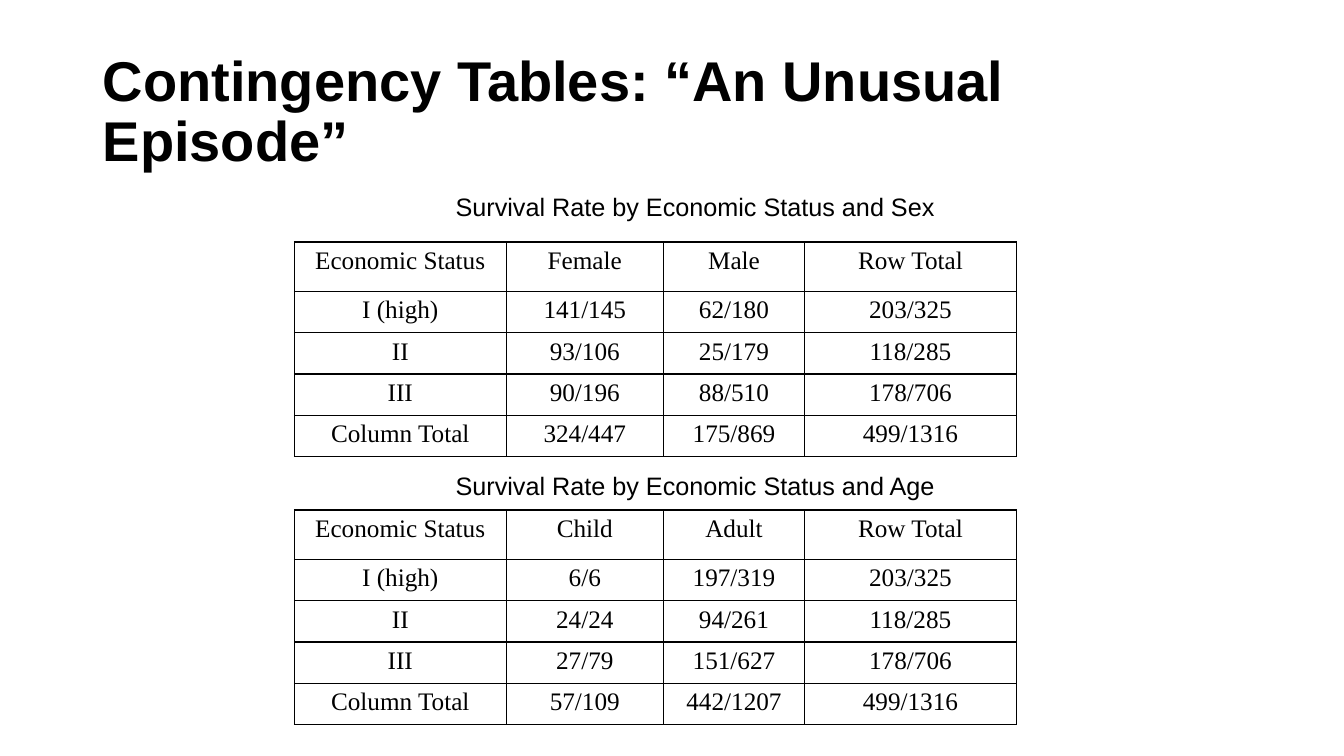
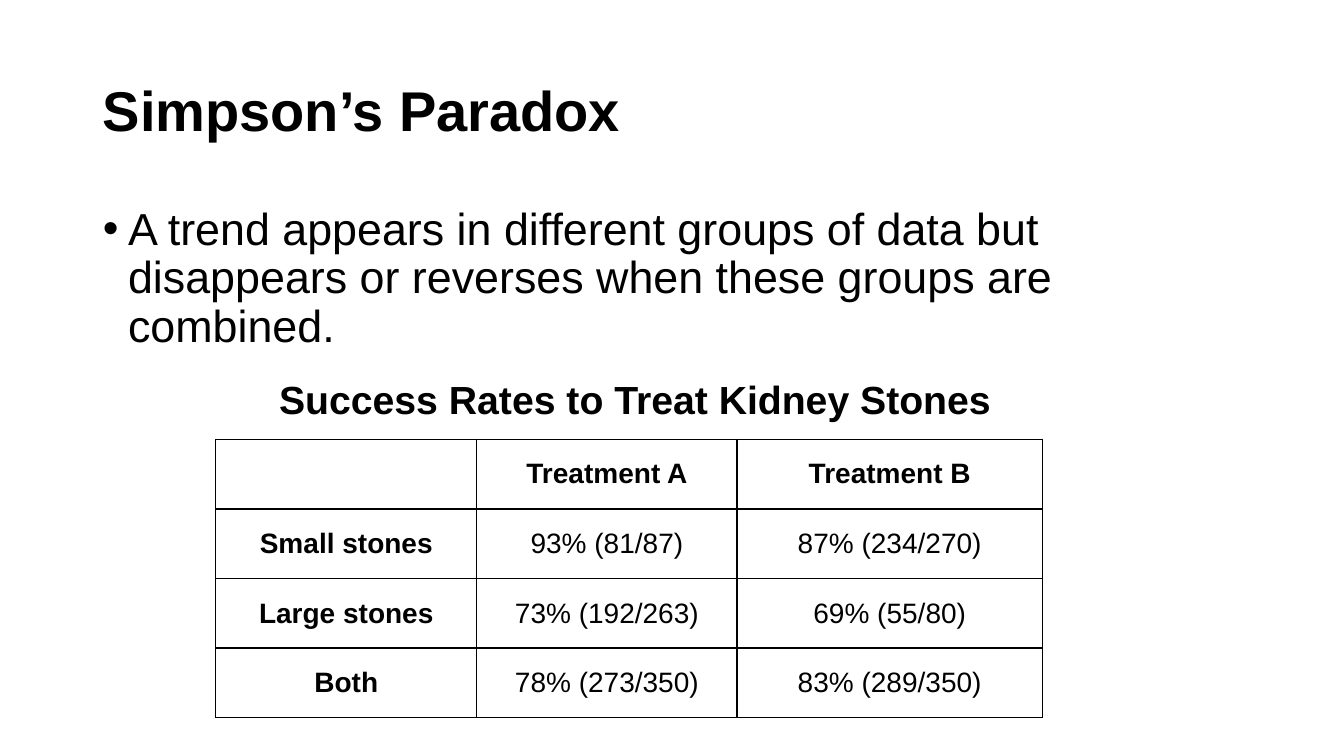
from lxml import etree
from pptx import Presentation
from pptx.dml.color import RGBColor
from pptx.enum.text import MSO_ANCHOR, MSO_AUTO_SIZE, PP_ALIGN
from pptx.oxml.ns import qn
from pptx.util import Inches, Pt

BLACK = RGBColor(0x00, 0x00, 0x00)
SANS, SERIF = "Arial", "Times New Roman"
LEFT, CENTER = PP_ALIGN.LEFT, PP_ALIGN.CENTER
TOP, MIDDLE = MSO_ANCHOR.TOP, MSO_ANCHOR.MIDDLE
NO_FIT = MSO_AUTO_SIZE.NONE
TITLE_AND_BODY, TITLE_ONLY = 1, 5
BORDER_SIDES = ("a:lnL", "a:lnR", "a:lnT", "a:lnB")
MARGIN, CONTENT_WIDTH = 0.92, 11.5


def add_borders(cell, width=Pt(1), color=BLACK):
    """Draw a solid line on all four sides of a table cell."""
    properties = cell._tc.get_or_add_tcPr()
    for position, side in enumerate(BORDER_SIDES):
        line = etree.Element(qn(side), w=str(int(width)))
        fill = etree.SubElement(line, qn("a:solidFill"))
        etree.SubElement(fill, qn("a:srgbClr"), val=str(color))
        properties.insert(position, line)


class Deck:
    """Holds the shared style and the slide being built."""

    def __init__(self):
        """Start a widescreen presentation."""
        self.prs = Presentation()
        self.prs.slide_width = Inches(13.33)
        self.prs.slide_height = Inches(7.5)
        self.slide = None

    def add_text(self, paragraph, text, size, font=SANS, bold=False,
                 align=LEFT):
        """Add one formatted run to a paragraph."""
        paragraph.alignment = align
        run = paragraph.add_run()
        run.text = text
        run.font.name = font
        run.font.size = Pt(size)
        run.font.bold = bold
        run.font.color.rgb = BLACK

    def fill_placeholder(self, placeholder, top, height, anchor, text, size,
                         bold=False):
        """Place a template placeholder and set its text."""
        placeholder.left, placeholder.top = Inches(MARGIN), Inches(top)
        placeholder.width = Inches(CONTENT_WIDTH)
        placeholder.height = Inches(height)
        frame = placeholder.text_frame
        frame.auto_size = NO_FIT
        frame.vertical_anchor = anchor
        paragraph = frame.paragraphs[0]
        paragraph.line_spacing = 0.9
        self.add_text(paragraph, text, size, bold=bold)
        return paragraph

    def add_slide(self, title, layout):
        """Add a slide with the shared title style."""
        self.slide = self.prs.slides.add_slide(self.prs.slide_layouts[layout])
        self.fill_placeholder(self.slide.shapes.title, 0.4, 1.45, MIDDLE,
                              title, 40, bold=True)

    def bullet(self, text):
        """Set a bulleted statement in the body placeholder."""
        paragraph = self.fill_placeholder(self.slide.placeholders[1], 2, 4.76,
                                          TOP, text, 32)
        paragraph.space_before = Pt(10)
        indent = Inches(0.25)
        properties = paragraph._p.get_or_add_pPr()
        properties.set("marL", str(int(indent)))
        properties.set("indent", str(-int(indent)))

    def caption(self, text, left, top, width, height, size, bold=False):
        """Add a table caption."""
        box = self.slide.shapes.add_textbox(
            Inches(left), Inches(top), Inches(width), Inches(height))
        box.text_frame.word_wrap = True
        self.add_text(box.text_frame.paragraphs[0], text, size, bold=bold)

    def table(self, rows, left, top, widths, heights, size, font, anchor,
              bold_headers=False):
        """Add a plain ruled table with centred text."""
        table = self.slide.shapes.add_table(
            len(rows), len(widths), Inches(left), Inches(top),
            Inches(sum(widths)), Inches(sum(heights))).table
        table.first_row = table.horz_banding = False
        for column, width in zip(table.columns, widths):
            column.width = Inches(width)
        for row, height in zip(table.rows, heights):
            row.height = Inches(height)
        for r, values in enumerate(rows):
            for c, value in enumerate(values):
                cell = table.cell(r, c)
                cell.fill.background()
                cell.vertical_anchor = anchor
                add_borders(cell)
                if value:
                    header = r == 0 or c == 0
                    self.add_text(cell.text_frame.paragraphs[0], value, size,
                                  font, bold_headers and header, CENTER)


SURVIVAL_BY_SEX = [
    ("Economic Status", "Female", "Male", "Row Total"),
    ("I (high)", "141/145", "62/180", "203/325"),
    ("II", "93/106", "25/179", "118/285"),
    ("III", "90/196", "88/510", "178/706"),
    ("Column Total", "324/447", "175/869", "499/1316"),
]
SURVIVAL_BY_AGE = [
    ("Economic Status", "Child", "Adult", "Row Total"),
    ("I (high)", "6/6", "197/319", "203/325"),
    ("II", "24/24", "94/261", "118/285"),
    ("III", "27/79", "151/627", "178/706"),
    ("Column Total", "57/109", "442/1207", "499/1316"),
]
KIDNEY_STONES = [
    ("", "Treatment A", "Treatment B"),
    ("Small stones", "93% (81/87)", "87% (234/270)"),
    ("Large stones", "73% (192/263)", "69% (55/80)"),
    ("Both", "78% (273/350)", "83% (289/350)"),
]


def contingency_slide(deck):
    """Build the two survival tables."""
    deck.add_slide("Contingency Tables: “An Unusual Episode”", TITLE_ONLY)
    for factor, rows, caption_top, table_top in (
            ("Sex", SURVIVAL_BY_SEX, 1.85, 2.4),
            ("Age", SURVIVAL_BY_AGE, 4.62, 5.06)):
        deck.caption(f"Survival Rate by Economic Status and {factor}",
                     4.42, caption_top, 5.08, 0.4, 18)
        deck.table(rows, 2.92, table_top, (2.1, 1.56, 1.4, 2.1),
                   [0.49] + [0.41] * 4, 18, SERIF, TOP)


def paradox_slide(deck):
    """Build the paradox statement and its kidney stone example."""
    deck.add_slide("Simpson’s Paradox", TITLE_AND_BODY)
    deck.bullet("A trend appears in different groups of data but disappears "
                "or reverses when these groups are combined.")
    deck.table(KIDNEY_STONES, 2.14, 4.36, (2.59, 2.58, 3.03), [0.69] * 4,
               20, SANS, MIDDLE, bold_headers=True)
    deck.caption("Success Rates to Treat Kidney Stones",
                 2.67, 3.67, 7.67, 0.57, 28, bold=True)


deck = Deck()
contingency_slide(deck)
paradox_slide(deck)
deck.prs.save("out.pptx")
